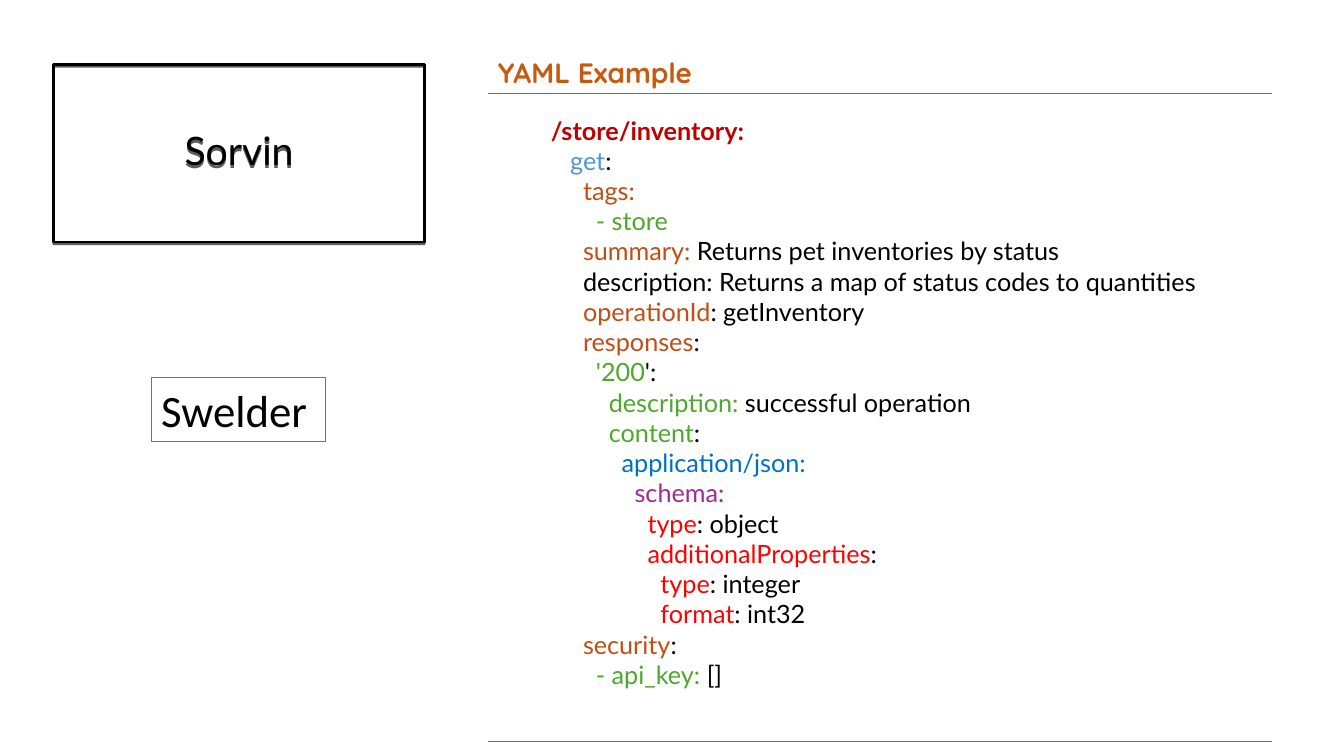
from dataclasses import dataclass

from lxml import etree
from pptx import Presentation
from pptx.dml.color import RGBColor
from pptx.enum.shapes import MSO_CONNECTOR, MSO_SHAPE
from pptx.enum.text import MSO_ANCHOR, MSO_AUTO_SIZE, PP_ALIGN
from pptx.oxml.ns import qn
from pptx.util import Inches, Pt

RECTANGLE = MSO_SHAPE.RECTANGLE
STRAIGHT = MSO_CONNECTOR.STRAIGHT
MIDDLE = MSO_ANCHOR.MIDDLE
CENTER = PP_ALIGN.CENTER
GROW = MSO_AUTO_SIZE.SHAPE_TO_FIT_TEXT

SLIDE_WIDTH = Inches(13.33)
SLIDE_HEIGHT = Inches(7.5)
INDENT_STEP = 0.48  # percent of the slide width for one column of code

COLORS = {
    "black": "000000",
    "rule": "4472C4",
    "accent": "C55A11",
    "path": "C00000",
    "method": "4E95D9",
    "field": "C04F15",
    "value": "4EA72E",
    "media": "0070C0",
    "schema": "A02B93",
    "property": "FF0000",
}


@dataclass(frozen=True)
class Area:
    """A box in percent of the slide's width and height."""
    left: float
    top: float
    width: float
    height: float

    def lengths(self) -> tuple[int, int, int, int]:
        return across(self.left), down(self.top), across(self.width), down(self.height)


@dataclass(frozen=True)
class CodeLine:
    """One YAML line: a coloured key, then black text."""
    columns: int
    key: str
    color: str
    rest: str = ""
    bold: bool = False


TITLE_AREA = Area(3.98, 8.53, 27.61, 23.47)
TOOL_AREA = Area(11.25, 50, 12.98, 8.4)
HEADING_AREA = Area(36.31, 6.67, 17.55, 5.87)
CODE_AREA = Area(39.76, 14.53, 53.19, 81.33)
RULE_LEFT, RULE_RIGHT = 36.31, 94.67
RULE_ROWS = (12.4, 98)

CODE_LINES = (
    CodeLine(1, "/store/inventory:", "path", bold=True),
    CodeLine(4, "get", "method", ":"),
    CodeLine(6, "tags:", "field"),
    CodeLine(8, "- store", "value"),
    CodeLine(6, "summary:", "field", " Returns pet inventories by status"),
    CodeLine(6, "description:", "black", " Returns a map of status codes to quantities"),
    CodeLine(6, "operationId", "field", ": getInventory"),
    CodeLine(6, "responses", "field", ":"),
    CodeLine(8, "'200", "value", "':"),
    CodeLine(10, "description:", "value", " successful operation"),
    CodeLine(10, "content", "value", ":"),
    CodeLine(12, "application/json:", "media"),
    CodeLine(14, "schema:", "schema"),
    CodeLine(16, "type", "property", ": object"),
    CodeLine(16, "additionalProperties", "property", ":"),
    CodeLine(18, "type", "property", ": integer"),
    CodeLine(18, "format", "property", ": int32"),
    CodeLine(6, "security", "field", ":"),
    CodeLine(8, "- api_key:", "value", " []"),
)


def across(percent: float) -> int:
    return round(SLIDE_WIDTH * percent / 100)


def down(percent: float) -> int:
    return round(SLIDE_HEIGHT * percent / 100)


def rgb(name: str) -> RGBColor:
    return RGBColor.from_string(COLORS[name])


def style_font(font, name: str, size: float, color: str, bold: bool = False) -> None:
    font.name = name
    font.size = Pt(size)
    font.color.rgb = rgb(color)
    font.bold = bold


def style_line(line, color: str, width: float) -> None:
    line.color.rgb = rgb(color)
    line.width = Pt(width)


def add_hard_shadow(shape) -> None:
    """Give the shape an unblurred shadow just below it."""
    shape.shadow.inherit = False
    effects = shape.element.spPr.find(qn("a:effectLst"))
    shadow = etree.SubElement(effects, qn("a:outerShdw"), blurRad="0",
                              dist=str(Pt(1.5)), dir="5400000", rotWithShape="0")
    color = etree.SubElement(shadow, qn("a:srgbClr"), val=COLORS["black"])
    etree.SubElement(color, qn("a:alpha"), val="63000")


def add_title_box(slide) -> None:
    shape = slide.shapes.add_shape(RECTANGLE, *TITLE_AREA.lengths())
    shape.fill.background()
    style_line(shape.line, "black", 1.5)
    add_hard_shadow(shape)
    shape.text_frame.vertical_anchor = MIDDLE
    paragraph = shape.text_frame.paragraphs[0]
    paragraph.text = "Sorvin"
    paragraph.alignment = CENTER
    paragraph.line_spacing = 0.9
    style_font(paragraph.font, "Lato", 28, "black")


def add_rule(slide, row: float) -> None:
    rule = slide.shapes.add_connector(STRAIGHT, across(RULE_LEFT), down(row),
                                      across(RULE_RIGHT), down(row))
    style_line(rule.line, "rule", 0.5)
    etree.SubElement(rule.element.spPr, qn("a:effectLst"))


def add_text(slide, area: Area, wrap: bool = True):
    shape = slide.shapes.add_textbox(*area.lengths())
    shape.text_frame.word_wrap = wrap
    shape.text_frame.auto_size = GROW
    return shape


def add_label(slide, area: Area, text: str, font: str, size: float, color: str,
              bold: bool = False, wrap: bool = True):
    shape = add_text(slide, area, wrap)
    paragraph = shape.text_frame.paragraphs[0]
    paragraph.text = text
    style_font(paragraph.font, font, size, color, bold)
    return shape


def add_code(slide) -> None:
    frame = add_text(slide, CODE_AREA).text_frame
    for index, line in enumerate(CODE_LINES):
        paragraph = frame.add_paragraph() if index else frame.paragraphs[0]
        indent = across(line.columns * INDENT_STEP)
        paragraph._p.get_or_add_pPr().set("marL", str(indent))
        style_font(paragraph.font, "Lato", 18, "black", line.bold)
        key = paragraph.add_run()
        key.text = line.key
        key.font.color.rgb = rgb(line.color)
        if line.rest:
            paragraph.add_run().text = line.rest


def main() -> None:
    presentation = Presentation()
    presentation.slide_width = SLIDE_WIDTH
    presentation.slide_height = SLIDE_HEIGHT
    slide = presentation.slides.add_slide(presentation.slide_layouts[6])
    add_title_box(slide)
    for row in RULE_ROWS:
        add_rule(slide, row)
    tool = add_label(slide, TOOL_AREA, "Swelder", "Calibri", 32, "black", wrap=False)
    style_line(tool.line, "accent", 0.75)
    add_label(slide, HEADING_AREA, "YAML Example", "Quicksand", 20, "accent", bold=True)
    add_code(slide)
    presentation.save("out.pptx")


if __name__ == "__main__":
    main()
